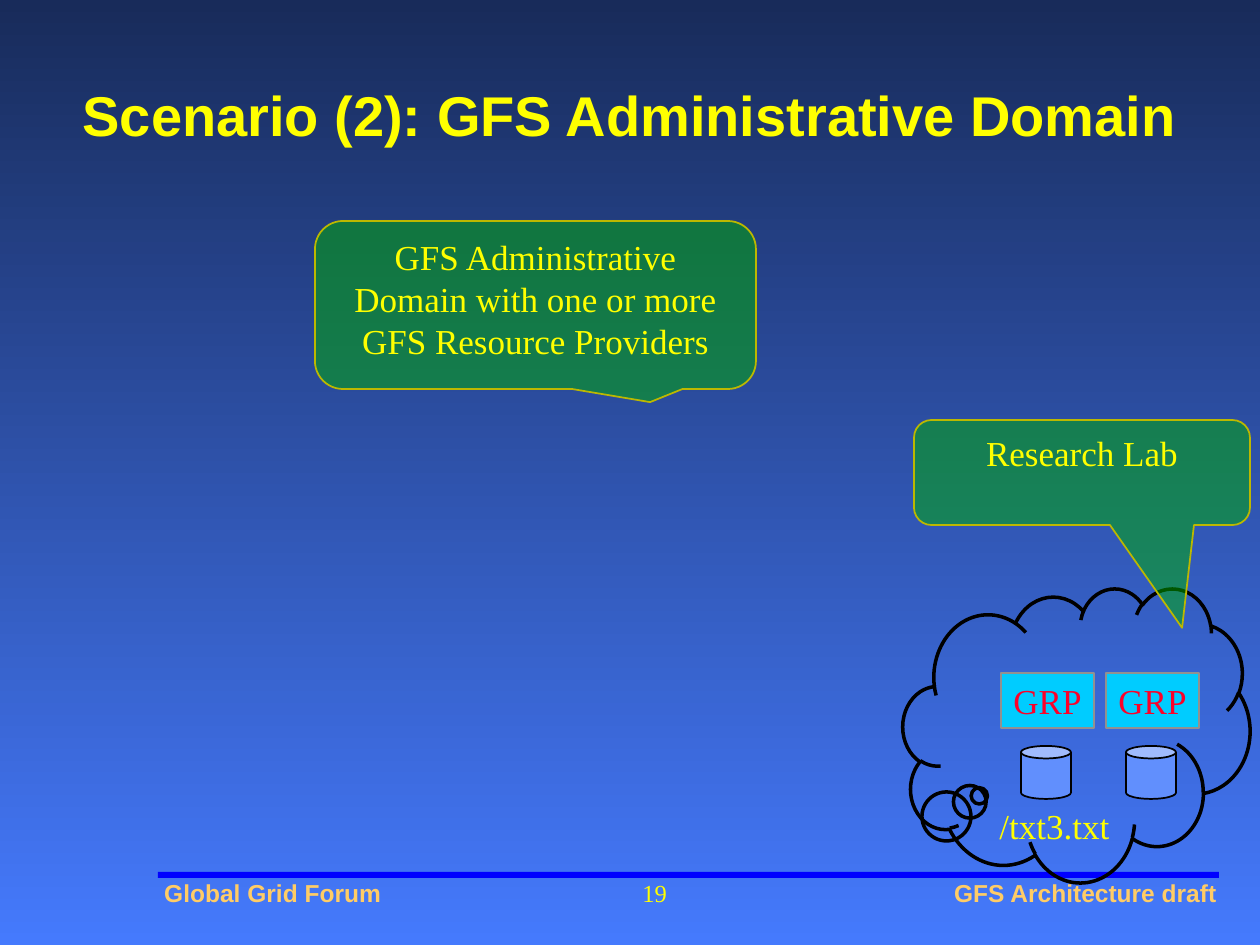
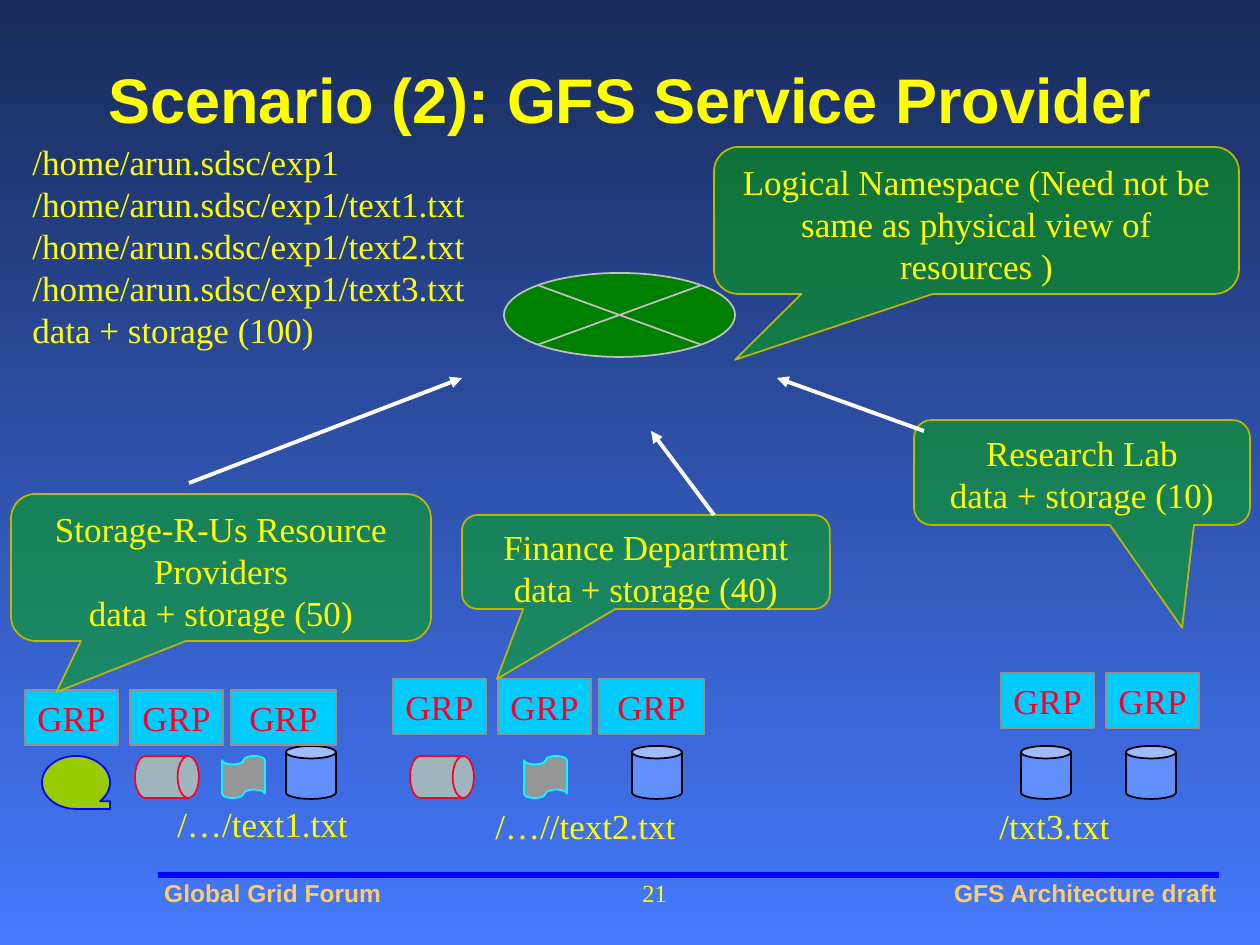
from lxml import etree
from pptx import Presentation, util as u
from pptx.dml.color import RGBColor
from pptx.enum import shapes, text
from pptx.oxml.ns import qn

PX = 914400 / 126
HUES = {
    "night": "182B5A", "sky": "457AFD", "bar": "0000FF", "sun": "FFFF00",
    "gold": "FFCC66", "cyan": "00CCFF", "gray": "919191", "red": "FC0128",
    "disk": "618FFD", "black": "000000", "note": "00AE00", "edge": "BCB800",
    "drum": "FFFF99", "lime": "99CC00", "punch": "969696", "aqua": "00FFFF",
    "green": "008000", "silver": "C0C0C0", "white": "FFFFFF",
}
KIND = shapes.MSO_SHAPE
SIDE = text.PP_ALIGN
MID = text.MSO_ANCHOR.MIDDLE
SERIF, SANS = "Times New Roman", "Arial"


def px(n):
    return u.Emu(round(n * PX))


def hue(name):
    return RGBColor.from_string(HUES[name])


def write(shape, lines, size=20, color="sun", font=SERIF, bold=False,
          side=SIDE.LEFT, anchor=text.MSO_ANCHOR.TOP, wrap=True, inset=0.1):
    frame = shape.text_frame
    frame.word_wrap = wrap
    frame.vertical_anchor = anchor
    frame.margin_left = u.Inches(inset)
    frame.text = "\n".join(lines)
    for para in frame.paragraphs:
        para.alignment = side
        para.font.size = u.Pt(size)
        para.font.name = font
        para.font.bold = bold
        para.font.color.rgb = hue(color)
        if font == SERIF:
            para.line_spacing = u.Pt(size * 1.2)


def label(slide, box, *lines, **style):
    write(slide.shapes.add_textbox(*map(px, box)), lines, **style)


def draw(slide, kind, box, fill=None, line=None, width=1, adjust=(), alpha=None):
    shape = slide.shapes.add_shape(kind, *map(px, box))
    shape.shadow.inherit = False
    for i, value in enumerate(adjust):
        shape.adjustments[i] = value
    if fill:
        shape.fill.solid()
        shape.fill.fore_color.rgb = hue(fill)
    else:
        shape.fill.background()
    if alpha:
        tint = shape._element.spPr.find(qn("a:solidFill"))[0]
        etree.SubElement(tint, qn("a:alpha")).set("val", str(alpha * 1000))
    if line:
        shape.line.color.rgb = hue(line)
        shape.line.width = u.Pt(width)
    else:
        shape.line.fill.background()
    return shape


def note(slide, box, tip, *lines):
    shape = draw(slide, KIND.ROUNDED_RECTANGULAR_CALLOUT, box, "note", "edge",
                 adjust=(*tip, 0.167), alpha=50)
    write(shape, lines, side=SIDE.CENTER)


def arrow(slide, *ends):
    link = slide.shapes.add_connector(shapes.MSO_CONNECTOR.STRAIGHT, *map(px, ends))
    link.line.color.rgb = hue("white")
    link.line.width = u.Pt(2.25)
    tail = etree.SubElement(link.line._get_or_add_ln(), qn("a:tailEnd"))
    tail.set("type", "triangle")
    etree.SubElement(link._element.spPr, qn("a:effectLst"))


def row(slide, left, top, count):
    for step, wide in ((0, 93), (105, 93), (206, 105))[:count]:
        shape = draw(slide, KIND.RECTANGLE, (left + step, top, wide, 55), "cyan", "gray")
        write(shape, ["GRP"], color="red", side=SIDE.CENTER, anchor=MID, wrap=False)


def disk(slide, left):
    draw(slide, KIND.CAN, (left, 746, 50, 53), "disk", "black", adjust=[0.25])


def drum(slide, left):
    draw(slide, KIND.FLOWCHART_DIRECT_ACCESS_STORAGE, (left, 756, 64, 42),
         "drum", "red", alpha=50)


def punch(slide, left):
    draw(slide, KIND.FLOWCHART_PUNCHED_TAPE, (left, 756, 43, 42), "punch", "aqua")


def store(slide):
    row(slide, 1001, 673, 2)
    for left in (1021, 1126):
        disk(slide, left)
    label(slide, (987, 798, 136, 55), "/txt3.txt")


def lab(slide, *lines):
    note(slide, (914, 420, 336, 105), (0.298, 1.479), "Research Lab", *lines)


def page(deck, number, title, top, size):
    slide = deck.slides.add_slide(deck.slide_layouts[6])
    fill = slide.background.fill
    fill.gradient()
    fill.gradient_angle = 270
    for stop, name in zip(fill.gradient_stops, ("night", "sky")):
        stop.color.rgb = hue(name)
    draw(slide, KIND.RECTANGLE, (158, 872, 1061, 6), "bar")
    label(slide, (630, 872, 63, 43), str(number), size=14)
    foot = dict(size=14, color="gold", font=SANS, bold=True, inset=0.05)
    label(slide, (158, 872, 368, 42), "Global Grid Forum", **foot)
    label(slide, (693, 872, 536, 42), "GFS Architecture draft", side=SIDE.RIGHT, **foot)
    label(slide, (21, top, 1218, 144), title, size=size, font=SANS, bold=True,
          side=SIDE.CENTER, anchor=MID)
    return slide


def domain(deck):
    slide = page(deck, 19, "Scenario (2): GFS Administrative Domain", 42, 32)
    note(slide, (315, 221, 441, 168), (0.26, 0.578),
         "GFS Administrative Domain with one or more GFS Resource Providers")
    store(slide)
    draw(slide, KIND.CLOUD_CALLOUT, (903, 588, 347, 294), line="black", width=2,
         adjust=(-0.28, 0.207))
    lab(slide)


def service(deck):
    slide = page(deck, 21, "Scenario (2): GFS Service Provider", 26, 36)
    for left in (286, 632):
        disk(slide, left)
    for left in (135, 410):
        drum(slide, left)
    for left in (222, 524):
        punch(slide, left)
    draw(slide, KIND.FLOWCHART_SEQUENTIAL_ACCESS_STORAGE, (42, 756, 68, 53), "lime", "bar")
    label(slide, (165, 796, 210, 55), "/…/text1.txt")
    label(slide, (483, 798, 220, 55), "/…//text2.txt")
    row(slide, 25, 690, 3)
    row(slide, 393, 679, 3)
    store(slide)
    draw(slide, KIND.FLOWCHART_SUMMING_JUNCTION, (504, 273, 231, 84), "green", "silver")
    note(slide, (11, 494, 420, 147), (-0.392, 0.848),
         "Storage-R-Us Resource Providers", "data + storage (50)")
    note(slide, (462, 515, 368, 94), (-0.405, 1.245),
         "Finance Department", "data + storage (40)")
    lab(slide, "data + storage (10)")
    home = "/home/arun.sdsc/exp1"
    files = [f"{home}/text{n}.txt" for n in (1, 2, 3)]
    label(slide, (20, 134, 480, 223), home, *files, "data + storage (100)")
    arrow(slide, 189, 483, 462, 378)
    arrow(slide, 714, 515, 651, 431)
    arrow(slide, 924, 431, 777, 378)
    note(slide, (714, 147, 525, 147), (-0.46, 0.948),
         "Logical Namespace (Need not be same as physical view of resources )")


def main():
    deck = Presentation()
    deck.slide_width, deck.slide_height = px(1260), px(945)
    domain(deck)
    service(deck)
    deck.save("out.pptx")


if __name__ == "__main__":
    main()
